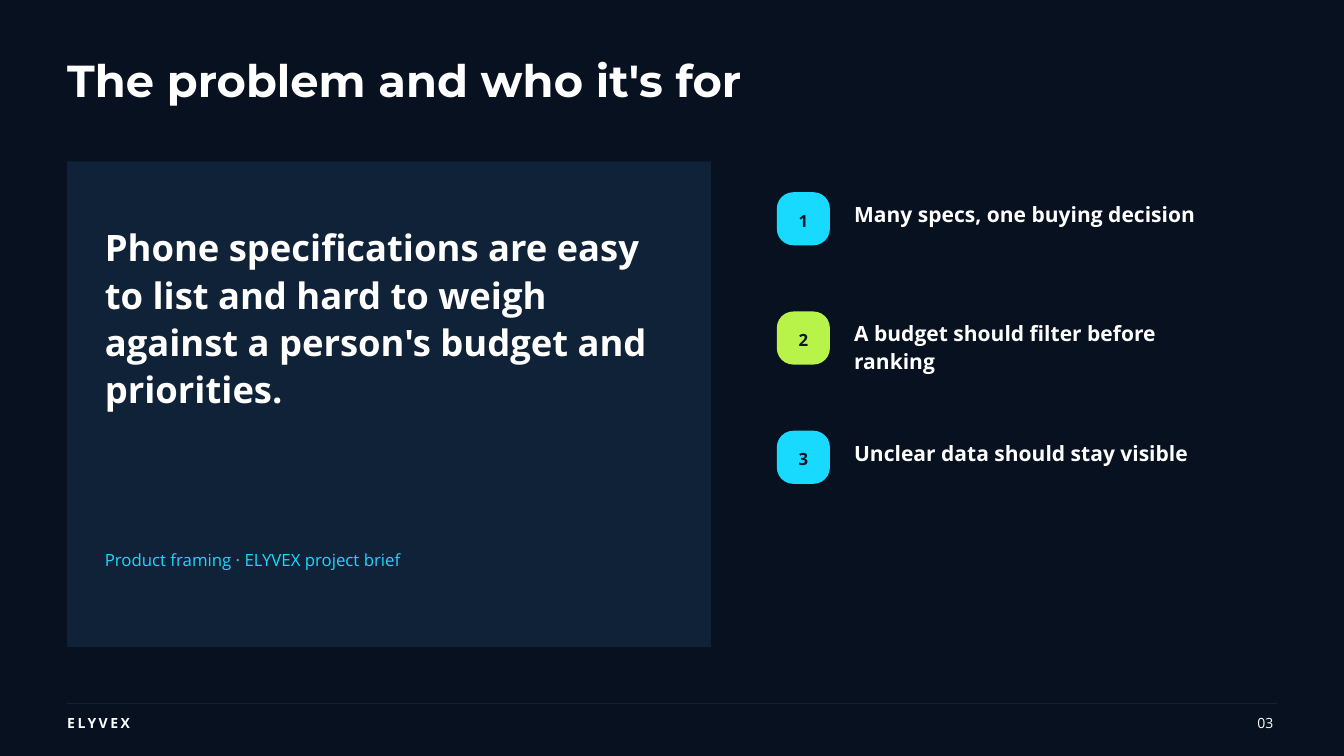
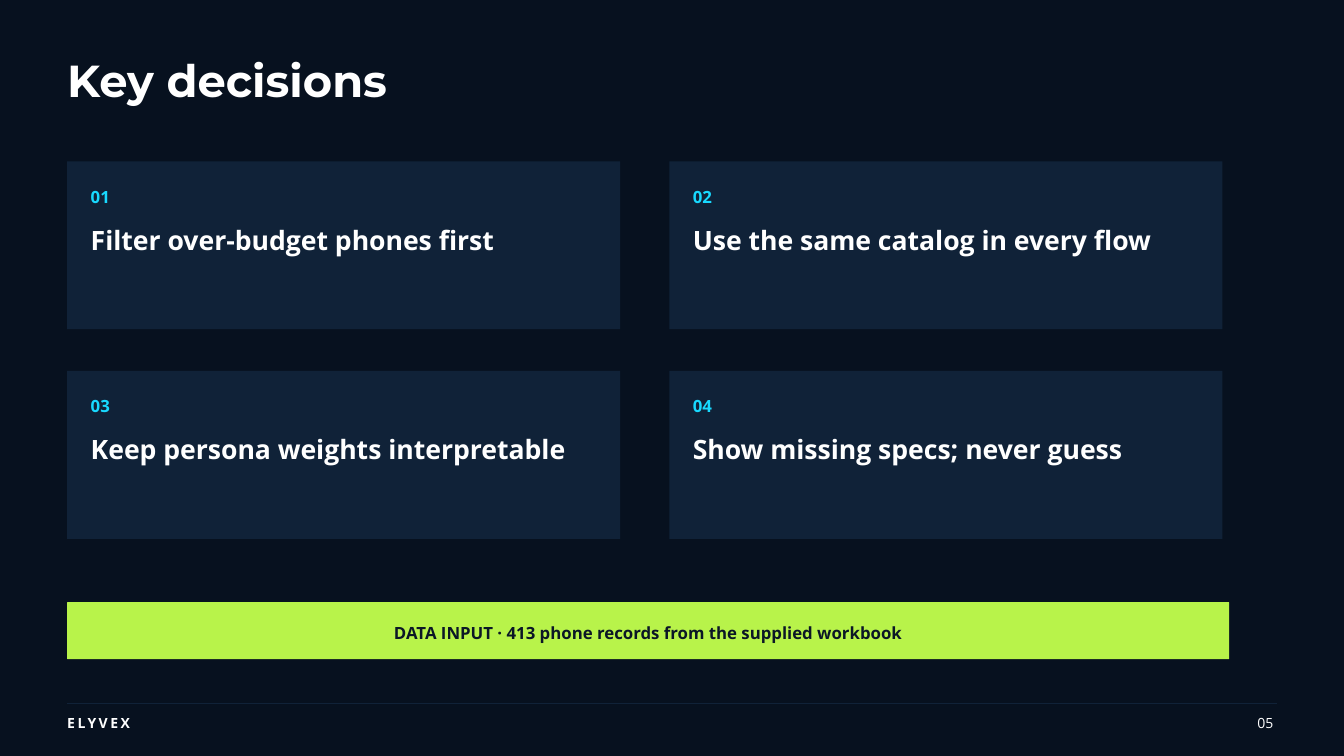
from lxml.etree import SubElement
from pptx import Presentation
from pptx.dml.color import RGBColor
from pptx.enum.shapes import MSO_CONNECTOR, MSO_SHAPE
from pptx.enum.text import MSO_ANCHOR, MSO_AUTO_SIZE, PP_ALIGN
from pptx.oxml.ns import qn
from pptx.util import Inches, Pt

NIGHT, PANEL, INK = "07111F", "102238", "0B1726"
CYAN, LIME, WHITE = "18D9FF", "B8F34A", "FFFFFF"
HEADING, BODY = "Montserrat", "Open Sans"
MARGIN, CONTENT_TOP = 1, 2.4


def rgb(hex_string):
    return RGBColor.from_string(hex_string)


class Deck:
    """Holds the shared style and the slide being built."""

    def __init__(self):
        self.prs = Presentation()
        self.prs.slide_width, self.prs.slide_height = Inches(20), Inches(11.25)
        self.slide = None

    def new_slide(self, title, number):
        self.slide = self.prs.slides.add_slide(self.prs.slide_layouts[6])
        background = self.slide.background.fill
        background.solid()
        background.fore_color.rgb = rgb(NIGHT)
        self.text(title, MARGIN, 0.9, 15.62, 0.69, 48, 49, bold=True, font=HEADING)
        self.footer(number)

    def footer(self, number):
        self.rule(MARGIN, 10.47, 19)
        self.text("ELYVEX", MARGIN, 10.59, 2.71, 0.28, 15, 21, bold=True, tracking=2.7)
        self.text(number, 18.12, 10.59, 0.83, 0.28, 15, 21, align=PP_ALIGN.RIGHT)

    def rule(self, left, top, right):
        line = self.slide.shapes.add_connector(
            MSO_CONNECTOR.STRAIGHT, Inches(left), Inches(top), Inches(right), Inches(top))
        line.line.color.rgb = rgb(PANEL)
        line.line.width = Pt(1.5)
        SubElement(line._element.spPr, qn("a:effectLst"))

    def style(self, frame, words, size, leading, color, bold, align,
              inset=0, font=BODY, tracking=0):
        frame.word_wrap = True
        frame.margin_left = frame.margin_right = Inches(inset)
        frame.margin_top = frame.margin_bottom = Inches(inset)
        frame.text = words
        paragraph = frame.paragraphs[0]
        paragraph.alignment = align
        paragraph.line_spacing = Pt(leading)
        run = paragraph.runs[0]
        run.font.name, run.font.size, run.font.bold = font, Pt(size), bold
        run.font.color.rgb = rgb(color)
        if tracking:
            run._r.get_or_add_rPr().set("spc", str(round(tracking * 100)))

    def text(self, words, left, top, width, height, size, leading, color=WHITE,
             bold=False, align=PP_ALIGN.LEFT, font=BODY, tracking=0):
        box = self.slide.shapes.add_textbox(
            Inches(left), Inches(top), Inches(width), Inches(height))
        self.style(box.text_frame, words, size, leading, color, bold, align,
                   font=font, tracking=tracking)
        box.text_frame.auto_size = MSO_AUTO_SIZE.SHAPE_TO_FIT_TEXT

    def panel(self, left, top, width, height, color=PANEL, kind=MSO_SHAPE.RECTANGLE):
        shape = self.slide.shapes.add_shape(
            kind, Inches(left), Inches(top), Inches(width), Inches(height))
        shape.shadow.inherit = False
        shape.fill.solid()
        shape.fill.fore_color.rgb = rgb(color)
        shape.line.fill.background()
        return shape

    def label(self, words, left, top, width, height, color, rounding):
        """Rounded shape with centred dark text."""
        shape = self.panel(left, top, width, height, color, MSO_SHAPE.ROUNDED_RECTANGLE)
        shape.adjustments[0] = rounding
        self.style(shape.text_frame, words, 18, 25.2, INK, True, PP_ALIGN.CENTER, inset=0.06)
        shape.text_frame.vertical_anchor = MSO_ANCHOR.MIDDLE


def problem_slide(deck):
    deck.new_slide("The problem and who it's for", "03")

    # Problem statement
    deck.panel(MARGIN, CONTENT_TOP, 9.58, 7.23)
    deck.text("Phone specifications are easy to list and hard to weigh "
              "against a person's budget and priorities.",
              1.56, 3.3, 8.33, 2.77, 39, 50.7, bold=True)
    deck.text("Product framing · ELYVEX project brief",
              1.56, 8.16, 5.21, 0.31, 18, 23.4, CYAN)

    # Numbered needs
    needs = [("Many specs, one buying decision", CYAN),
             ("A budget should filter before ranking", LIME),
             ("Unclear data should stay visible", CYAN)]
    for i, (need, color) in enumerate(needs):
        top = 2.86 + i * 1.775
        deck.label(str(i + 1), 11.56, top, 0.79, 0.79, color, 0.31)
        deck.text(need, 12.71, top + 0.11, 5.42, 0.39, 22.5, 29.2, bold=True)


def decisions_slide(deck):
    deck.new_slide("Key decisions", "05")

    # Two-by-two grid of decisions
    decisions = ["Filter over-budget phones first", "Use the same catalog in every flow",
                 "Keep persona weights interpretable", "Show missing specs; never guess"]
    for i, decision in enumerate(decisions):
        row, column = divmod(i, 2)
        left, top = MARGIN + column * 8.96, CONTENT_TOP + row * 3.12
        deck.panel(left, top, 8.23, 2.5)
        deck.text(f"{i + 1:02}", left + 0.35, top + 0.35, 1.04, 0.31, 18, 23.4, CYAN, bold=True)
        deck.text(decision, left + 0.35, top + 0.89, 7.29, 0.49, 28.5, 37, bold=True)

    # Data source bar
    deck.label("DATA INPUT · 413 phone records from the supplied workbook",
               MARGIN, 8.96, 17.29, 0.85, LIME, 0.01)


def main():
    deck = Deck()
    problem_slide(deck)
    decisions_slide(deck)
    deck.prs.save("out.pptx")


if __name__ == "__main__":
    main()
